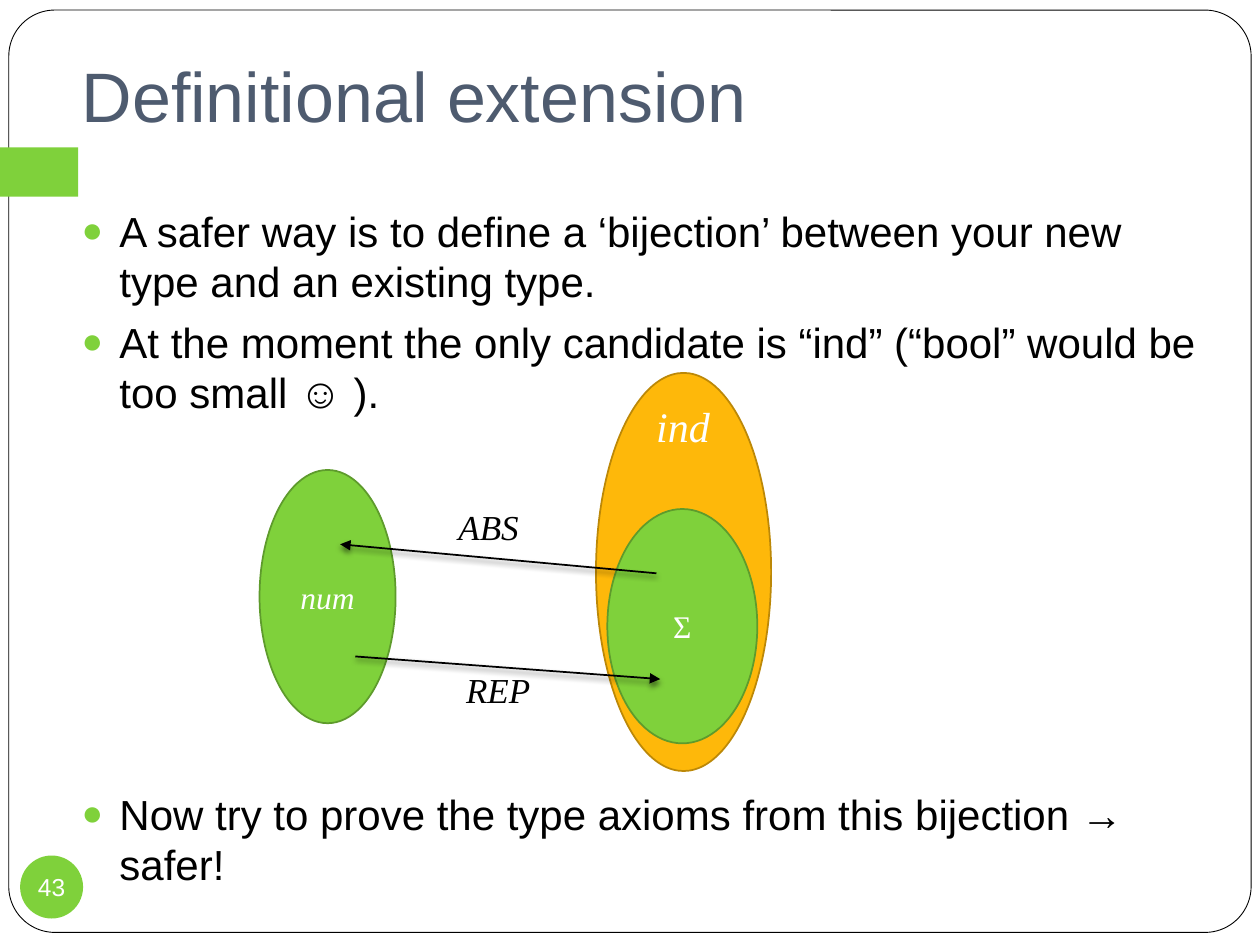
from lxml import etree
from pptx import Presentation
from pptx import oxml
from pptx import util as u
from pptx.dml import color as c
from pptx.enum import shapes, text
from pptx.oxml import ns

GREEN, DARK_GREEN = "7FD13B", "5E9B2C"
SERIF, SANS = "Times New Roman", "Arial"


def color(value):
    return c.RGBColor.from_string(value)


def write(sp, words, size, font, hue, italic=False, align=text.PP_ALIGN.LEFT):
    tf = sp.text_frame
    tf.text = words
    for p in tf.paragraphs:
        p.alignment = align
        for r in p.runs:
            r.font.size = u.Pt(size)
            r.font.name = font
            r.font.italic = italic
            r.font.color.rgb = color(hue)
    return tf


prs = Presentation()
prs.slide_width, prs.slide_height = u.Inches(10), u.Inches(7.5)
s = prs.slides.add_slide(prs.slide_layouts[6])

frame = s.shapes.add_shape(
    shapes.MSO_SHAPE.ROUNDED_RECTANGLE, *map(u.Inches, (0.07, 0.08, 9.86, 7.32)))
frame.shadow.inherit = False
frame.adjustments[0] = 0.05
frame.fill.background()
frame.line.color.rgb = color("000000")
frame.line.width = u.Pt(0.5)

accent = s.shapes.add_shape(
    shapes.MSO_SHAPE.RECTANGLE, *map(u.Inches, (0, 1.17, 0.62, 0.39)))
accent.shadow.inherit = False
accent.fill.solid()
accent.fill.fore_color.rgb = color(GREEN)
accent.line.fill.background()

title = s.shapes.add_textbox(*map(u.Inches, (0.55, 0.3, 9.14, 0.87)))
tf = write(title, "Definitional extension", 40, SANS, "4E5B6F")
tf.word_wrap = True
tf.vertical_anchor = text.MSO_ANCHOR.BOTTOM
tf.margin_bottom = u.Inches(0.09)

body = s.shapes.add_textbox(*map(u.Inches, (0.55, 1.58, 9.14, 5)))
tf = write(body, "\n".join([
    "A safer way is to define a ‘bijection’ between your new type and an existing type.",
    "At the moment the only candidate is “ind” (“bool” would be too small ☺ ).",
    "Now try to prove the type axioms from this bijection → safer!",
]), 24, SANS, "000000")
tf.word_wrap = True
for p, gap in zip(tf.paragraphs, (5.8, 5.8, 212)):
    p.space_before = u.Pt(gap)
    pPr = p._p.get_or_add_pPr()
    pPr.set("marL", str(u.Inches(0.3)))
    pPr.set("indent", str(u.Inches(-0.3)))
    bullet_color = etree.SubElement(pPr, ns.qn("a:buClr"))
    etree.SubElement(bullet_color, ns.qn("a:srgbClr"), val=GREEN)
    etree.SubElement(pPr, ns.qn("a:buSzPct"), val="85000")
    etree.SubElement(pPr, ns.qn("a:buFont"), typeface=SANS)
    etree.SubElement(pPr, ns.qn("a:buChar"), char="●")

for label, box, fill, line, size, font, italic in [
    ("num", (2.06, 3.73, 1.08, 2.01), GREEN, DARK_GREEN, 18, SERIF, True),
    ("", (4.73, 2.96, 1.39, 3.16), "FEB80A", "BC8807", 18, SERIF, True),
    ("Σ", (4.82, 4.04, 1.19, 1.86), GREEN, DARK_GREEN, 18, SERIF, False),
    ("43", (0.16, 6.79, 0.5, 0.5), GREEN, None, 14, SANS, False),
]:
    sp = s.shapes.add_shape(shapes.MSO_SHAPE.OVAL, *map(u.Inches, box))
    sp.shadow.inherit = False
    sp.fill.solid()
    sp.fill.fore_color.rgb = color(fill)
    if line:
        sp.line.color.rgb = color(line)
        sp.line.width = u.Pt(1)
    else:
        sp.line.fill.background()
    if label:
        tf = write(sp, label, size, font, "FFFFFF", italic, text.PP_ALIGN.CENTER)
        tf.vertical_anchor = text.MSO_ANCHOR.MIDDLE
        tf.word_wrap = False
        tf.margin_left = tf.margin_right = tf.margin_top = tf.margin_bottom = 0

for ends in [(2.82, 5.21, 5.24, 5.39), (5.21, 4.55, 2.7, 4.32)]:
    arrow = s.shapes.add_connector(shapes.MSO_CONNECTOR.STRAIGHT, *map(u.Inches, ends))
    arrow.line.color.rgb = color("000000")
    arrow.line.width = u.Pt(1)
    spPr = arrow._element.spPr
    etree.SubElement(spPr.find(ns.qn("a:ln")), ns.qn("a:tailEnd"), type="triangle")
    spPr.append(oxml.parse_xml(
        f'<a:effectLst {ns.nsdecls("a")}><a:outerShdw blurRad="{u.Pt(3)}" dist="{u.Pt(2)}" '
        'dir="5400000" rotWithShape="0"><a:srgbClr val="000000"><a:alpha val="50000"/>'
        '</a:srgbClr></a:outerShdw></a:effectLst>'))

for label, box, size, hue in [
    ("REP", (3.6, 5.26, 0.72, 0.44), 20, "000000"),
    ("ABS", (3.54, 3.96, 0.69, 0.44), 20, "000000"),
    ("ind", (5.11, 3.13, 0.63, 0.51), 24, "FFFFFF"),
]:
    tb = s.shapes.add_textbox(*map(u.Inches, box))
    write(tb, label, size, SERIF, hue, True).word_wrap = False

prs.save("out.pptx")
